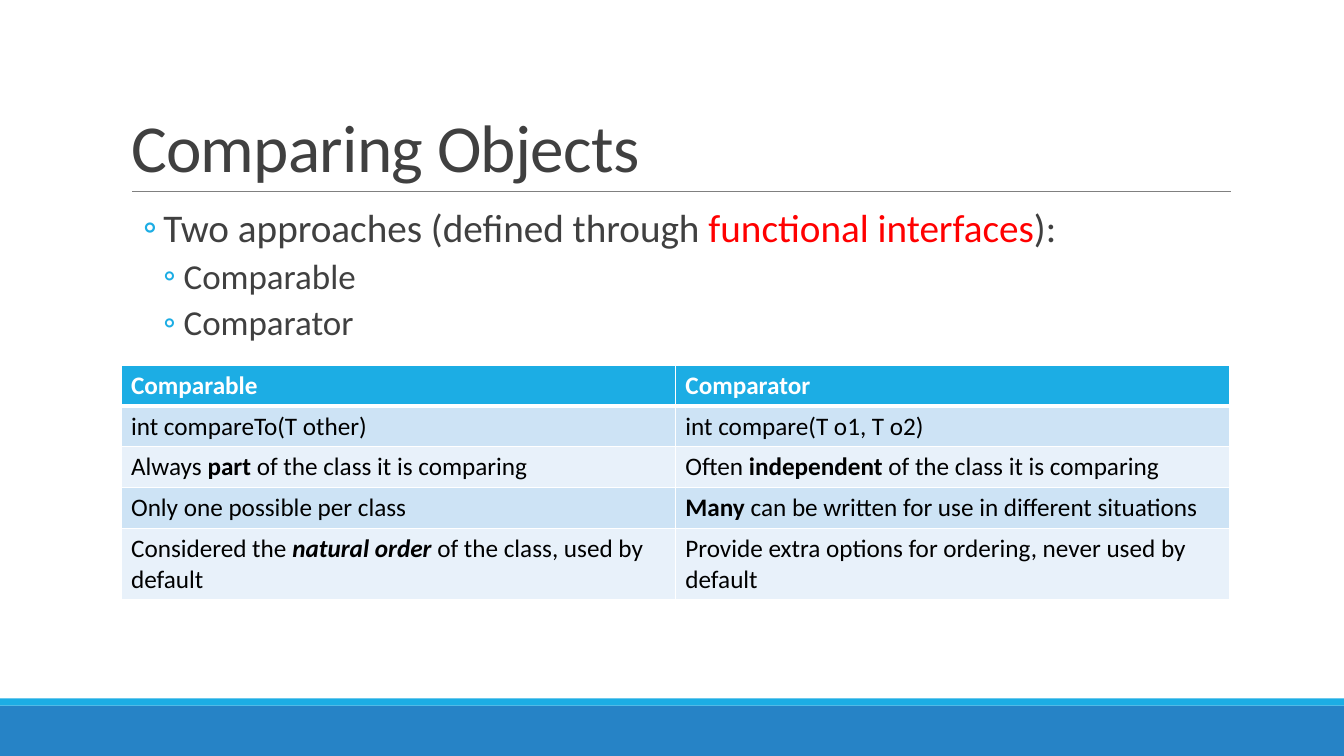
from lxml import etree
from pptx import Presentation
from pptx import util as u
from pptx.dml.color import RGBColor
from pptx.enum import shapes, text
from pptx.oxml import ns

FONT = "Calibri"
BLUE, DARK, GREY, RED = "1CADE4", "404040", "808080", "FF0000"
WHITE, BLACK = "FFFFFF", "000000"
BANDS = ["CDE3F5", "E8F1FA"]

# Each line is a level and its (text, colour) runs
POINTS = [
    (1, [("Two approaches (defined through ", DARK),
         ("functional interfaces", RED), ("):", DARK)]),
    (2, [("Comparable", DARK)]),
    (2, [("Comparator", DARK)]),
]

# Each cell is a list of (text, style) runs: b is bold, i is italic
ROWS = [
    [[("Comparable", "b")], [("Comparator", "b")]],
    [[("int compareTo(T other)", "")], [("int compare(T o1, T o2)", "")]],
    [[("Always ", ""), ("part", "b"), (" of the class it is comparing", "")],
     [("Often ", ""), ("independent", "b"),
      (" of the class it is comparing", "")]],
    [[("Only one possible per class", "")],
     [("Many", "b"), (" can be written for use in different situations", "")]],
    [[("Considered the ", ""), ("natural order", "bi"),
      (" of the class, used by default", "")],
     [("Provide extra options for ordering, never used by default", "")]],
]


def rgb(code):
    return RGBColor.from_string(code)


def sub(node, tag, **attrs):
    return etree.SubElement(node, ns.qn(tag), attrs)


def style(run, size, color, bold=False, ital=False):
    font = run.font
    font.name, font.size = FONT, u.Pt(size)
    font.bold, font.italic = bold, ital
    font.color.rgb = rgb(color)


def bar(slide, x, y, w, h, color):
    band = slide.shapes.add_shape(shapes.MSO_SHAPE.RECTANGLE,
                                  u.Cm(x), u.Cm(y), u.Cm(w), u.Cm(h))
    band.shadow.inherit = False
    band.fill.solid()
    band.fill.fore_color.rgb = rgb(color)
    band.line.fill.background()


def footer(slide, x, y, w, h):
    thin = 0.18
    bar(slide, x, y + thin, w, h - thin, "2683C6")
    bar(slide, x, y, w, thin, BLUE)


def heading(slide, x, y, w, h):
    title = slide.shapes.title
    title.left, title.top = u.Cm(x), u.Cm(y)
    title.width, title.height = u.Cm(w), u.Cm(h)
    frame = title.text_frame
    frame.text = "Comparing Objects"
    frame.word_wrap = True
    frame.auto_size = text.MSO_AUTO_SIZE.NONE
    frame.vertical_anchor = text.MSO_ANCHOR.BOTTOM
    para = frame.paragraphs[0]
    para.alignment = text.PP_ALIGN.LEFT
    para.line_spacing = 0.85
    run = para.runs[0]
    style(run, 48, DARK)
    run.font._element.set("spc", "-50")

    # Rule under the title
    base = u.Cm(y + h)
    rule = slide.shapes.add_connector(shapes.MSO_CONNECTOR.STRAIGHT,
                                      u.Cm(x + 0.28), base,
                                      u.Cm(x + w + 0.02), base)
    rule.line.color.rgb = rgb(GREY)
    rule.line.width = u.Pt(0.5)
    sub(rule._element.spPr, "a:effectLst")


def bullet(para, left):
    props = para._p.get_or_add_pPr()
    props.set("marL", str(u.Cm(left)))
    props.set("indent", str(-u.Cm(0.51)))
    sub(sub(props, "a:buClr"), "a:srgbClr", val=BLUE)
    sub(props, "a:buFont", typeface=FONT)
    sub(props, "a:buChar", char="◦")


def points(slide, x, y, w, h):
    box = slide.shapes.add_textbox(u.Cm(x), u.Cm(y), u.Cm(w), u.Cm(h))
    frame = box.text_frame
    frame.word_wrap = True
    frame.margin_left = frame.margin_right = 0
    for n, (level, parts) in enumerate(POINTS):
        para = frame.add_paragraph() if n else frame.paragraphs[0]
        para.level = level
        para.line_spacing = 0.9
        para.space_before, para.space_after = u.Pt(2), u.Pt(4)
        bullet(para, 0.56 + 0.51 * level)
        for words, color in parts:
            run = para.add_run()
            run.text = words
            style(run, 28 if level == 1 else 25, color)


def border(cell, row):
    props = cell._tc.get_or_add_tcPr()
    thick = {"B": row == 0, "T": row == 1}
    for n, side in enumerate("LRTB"):
        width = u.Pt(3 if thick.get(side) else 1)
        line = etree.Element(ns.qn(f"a:ln{side}"), w=str(width))
        sub(sub(line, "a:solidFill"), "a:srgbClr", val=WHITE)
        props.insert(n, line)


def table(slide, x, y, w, h):
    grid = slide.shapes.add_table(len(ROWS), 2, u.Cm(x), u.Cm(y),
                                  u.Cm(w), u.Cm(h)).table
    step = 1.03
    for r, row in enumerate(ROWS):
        last = r == len(ROWS) - 1
        grid.rows[r].height = u.Cm(h - step * r if last else step)
        for c, parts in enumerate(row):
            cell = grid.cell(r, c)
            cell.fill.solid()
            cell.fill.fore_color.rgb = rgb(BANDS[(r - 1) % 2] if r else BLUE)
            border(cell, r)
            para = cell.text_frame.paragraphs[0]
            for words, look in parts:
                run = para.add_run()
                run.text = words
                style(run, 18, BLACK if r else WHITE, "b" in look, "i" in look)


def main():
    deck = Presentation()
    wide, high = 33.87, 19.05
    deck.slide_width, deck.slide_height = u.Cm(wide), u.Cm(high)
    slide = deck.slides.add_slide(deck.slide_layouts[5])
    left, span = 3.05, 27.94
    footer(slide, 0, high - 1.45, wide, 1.45)
    heading(slide, left, 0.79, span, 4.04)
    points(slide, left, 5.13, span, 4.06)
    table(slide, left, 9.2, span, 5.9)
    deck.save("out.pptx")


if __name__ == "__main__":
    main()
